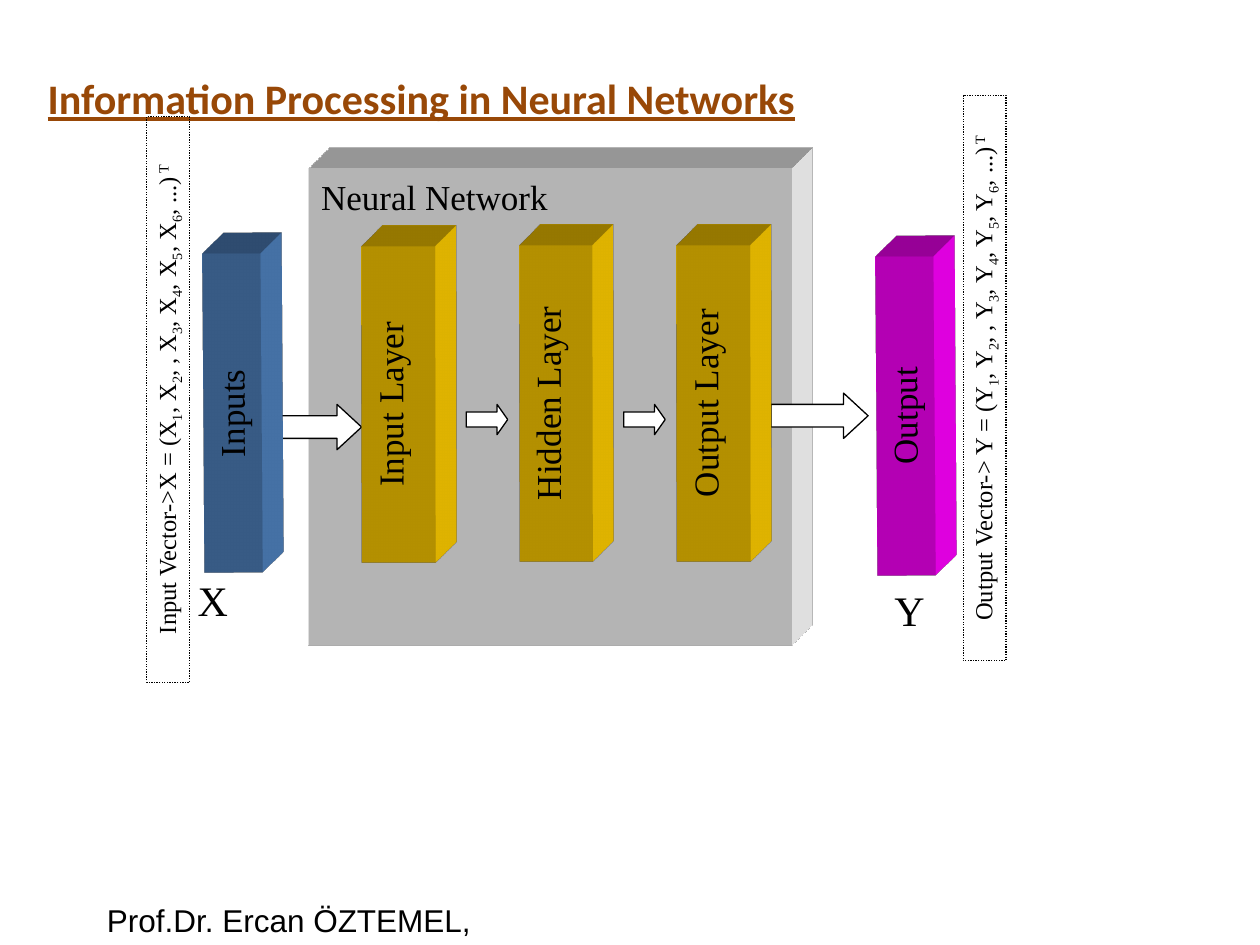
from lxml import etree
from pptx import Presentation
from pptx.dml.color import RGBColor
from pptx.enum.dml import MSO_LINE
from pptx.enum.shapes import MSO_SHAPE as Shape
from pptx.enum.text import MSO_ANCHOR as Anchor, PP_ALIGN as Align
from pptx.oxml import parse_xml
from pptx.oxml.ns import nsdecls
from pptx.util import Inches, Pt

COLORS = {
    "title": "984807",
    "text": "000000",
    "panel": "FFFFFF",
    "arrow": "FFFFFF",
    "input": "4F81BD",
    "layer": "FFCC00",
    "output": "FF00FF",
}
SERIF = "Times New Roman"


def color(name):
    return RGBColor.from_string(COLORS[name])


def add_run(paragraph, text, size, font=SERIF, color_name="text", baseline=0):
    run = paragraph.add_run()
    run.text = text
    run.font.name = font
    run.font.size = Pt(size)
    run.font.color.rgb = color(color_name)
    if baseline:
        run.font._element.set("baseline", str(baseline * 1000))
    return run


def add_label(slide, box, text, size, font=SERIF, color_name="text", wrap=False):
    label = slide.shapes.add_textbox(*map(Inches, box))
    label.text_frame.word_wrap = wrap
    return label, add_run(label.text_frame.paragraphs[0], text, size, font, color_name)


def add_box(slide, box, rotation=0, kind=Shape.RECTANGLE):
    shape = slide.shapes.add_shape(kind, *map(Inches, box))
    shape.shadow.inherit = False
    shape.rotation = rotation
    shape.text_frame.vertical_anchor = Anchor.TOP
    return shape


def add_block(slide, box, fill, text, rotation=0, align=Align.CENTER):
    """Add a labelled rectangle extruded towards the top right."""
    shape = add_box(slide, box, rotation)
    shape.fill.solid()
    shape.fill.fore_color.rgb = color(fill)
    shape.line.fill.background()
    properties = shape._element.spPr
    properties.append(parse_xml(
        f'<a:scene3d {nsdecls("a")}><a:camera prst="legacyObliqueTopRight"/>'
        '<a:lightRig rig="legacyFlat3" dir="b"/></a:scene3d>'))
    properties.append(parse_xml(
        f'<a:sp3d {nsdecls("a")} extrusionH="430200" prstMaterial="legacyMatte">'
        '<a:bevelT w="13500" h="13500" prst="angle"/>'
        '<a:bevelB w="13500" h="13500" prst="angle"/>'
        f'<a:extrusionClr><a:srgbClr val="{COLORS[fill]}"/></a:extrusionClr></a:sp3d>'))
    paragraph = shape.text_frame.paragraphs[0]
    paragraph.alignment = align
    add_run(paragraph, text, 20)


def add_arrow(slide, box, head):
    arrow = add_box(slide, box, kind=Shape.RIGHT_ARROW)
    arrow.adjustments[0] = 0.5
    arrow.adjustments[1] = head
    arrow.fill.solid()
    arrow.fill.fore_color.rgb = color("arrow")
    arrow.line.color.rgb = color("text")
    arrow.line.width = Pt(0.75)


def add_vector(slide, box, heading, letter):
    """Add a dotted upright frame with an indexed vector such as (X1, X2, ...)."""
    frame = add_box(slide, box, 270)
    frame.fill.background()
    frame.line.color.rgb = color("text")
    frame.line.width = Pt(0.75)
    frame.line.dash_style = MSO_LINE.ROUND_DOT
    frame.text_frame.vertical_anchor = Anchor.MIDDLE
    paragraph = frame.text_frame.paragraphs[0]
    paragraph.alignment = Align.CENTER
    add_run(paragraph, f"{heading}{letter} = ({letter}", 14)
    for index in range(1, 7):
        if index > 1:
            separator = ", , " if index == 3 else ", "
            add_run(paragraph, separator + letter, 14)
        add_run(paragraph, str(index), 14, baseline=-25)
    add_run(paragraph, ", ...)", 14)
    add_run(paragraph, " T", 14, baseline=30)


def main():
    presentation = Presentation()
    presentation.slide_width = Inches(10)
    presentation.slide_height = Inches(7.5)
    slide = presentation.slides.add_slide(presentation.slide_layouts[6])

    # Footer and title
    add_label(slide, (0.75, 7.1, 3.19, 0.4), "Prof.Dr. Ercan ÖZTEMEL,", 18, "Arial")
    title, run = add_label(slide, (0.28, 0.44, 9, 0.67),
                           "Information Processing in Neural Networks",
                           24, "Calibri", "title", wrap=True)
    title.text_frame.vertical_anchor = Anchor.MIDDLE
    run.font.bold = True
    run.font.underline = True

    # Network panel with the arrows into and out of it
    add_block(slide, (2.45, 1.34, 3.83, 3.78), "panel", "Neural Network", align=Align.LEFT)
    for left, top in ((6.12, 3.12), (2.1, 3.21)):
        add_arrow(slide, (left, top, 0.77, 0.36), 0.541)

    # Layers, one every 1.25 inches, and the arrows between them
    for index, (name, top) in enumerate(
            (("Input Layer", 2.92), ("Hidden Layer", 2.91), ("Output Layer", 2.91))):
        add_block(slide, (1.91 + 1.25 * index, top, 2.51, 0.58), "layer", name, 269.9)
    for index in range(2):
        add_arrow(slide, (3.7 + 1.25 * index, 3.21, 0.33, 0.24), 0.351)

    # Inputs and output outside the network
    add_block(slide, (0.58, 3.05, 2.53, 0.46), "input", "Inputs", 269.6)
    add_block(slide, (5.92, 3.07, 2.53, 0.46), "output", "Output", 269.6)

    # Vectors and their letters
    add_vector(slide, (-0.91, 3, 4.49, 0.34), "Input Vector->", "X")
    add_vector(slide, (5.57, 2.83, 4.49, 0.34), "Output Vector-> ", "Y")
    add_label(slide, (1.47, 4.51, 0.44, 0.5), "X", 24)
    add_label(slide, (7, 4.59, 0.44, 0.5), "Y", 24)

    presentation.save("out.pptx")


if __name__ == "__main__":
    main()
